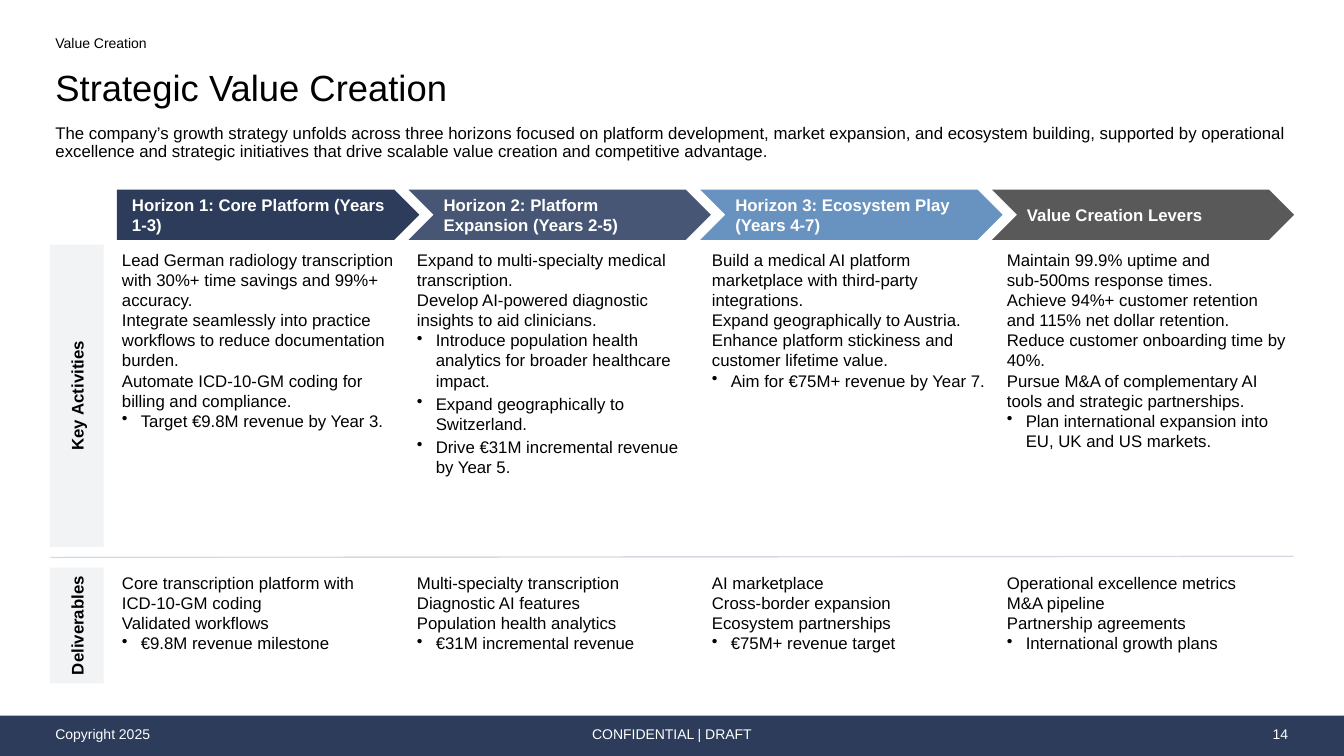
from lxml import etree
from pptx import Presentation
from pptx.dml.color import RGBColor
from pptx.enum.shapes import MSO_CONNECTOR, MSO_SHAPE
from pptx.enum.text import MSO_ANCHOR, MSO_AUTO_SIZE, PP_ALIGN
from pptx.oxml.ns import qn
from pptx.util import Pt

TOP, MIDDLE = MSO_ANCHOR.TOP, MSO_ANCHOR.MIDDLE
LEFT, CENTER, RIGHT = PP_ALIGN.LEFT, PP_ALIGN.CENTER, PP_ALIGN.RIGHT
RECTANGLE, PENTAGON, CHEVRON = MSO_SHAPE.RECTANGLE, MSO_SHAPE.PENTAGON, MSO_SHAPE.CHEVRON

NAVY, WHITE, BLACK, PALE_GREY, RULE_GREY = "2C3C5A", "FFFFFF", "000000", "F1F3F5", "D5DBE1"
COLUMN_LEFT = 83.5
HEADER_PITCH, TEXT_PITCH = 208.33, 210.7
BULLET_INDENT = 13.5
INSET = 3.6

COLUMNS = [
    {
        "header": "Horizon 1: Core Platform (Years 1-3)",
        "color": NAVY,
        "activities": [
            "Lead German radiology transcription with 30%+ time savings and 99%+ accuracy.",
            "Integrate seamlessly into practice workflows to reduce documentation burden.",
            "Automate ICD-10-GM coding for billing and compliance.",
        ],
        "activity_bullets": ["Target €9.8M revenue by Year 3."],
        "deliverables": ["Core transcription platform with ICD-10-GM coding", "Validated workflows"],
        "deliverable_bullets": ["€9.8M revenue milestone"],
    },
    {
        "header": "Horizon 2: Platform Expansion (Years 2-5)",
        "color": "465674",
        "activities": [
            "Expand to multi-specialty medical transcription.",
            "Develop AI-powered diagnostic insights to aid clinicians.",
        ],
        "activity_bullets": [
            "Introduce population health analytics for broader healthcare impact.",
            "Expand geographically to Switzerland.",
            "Drive €31M incremental revenue by Year 5.",
        ],
        "deliverables": [
            "Multi-specialty transcription",
            "Diagnostic AI features",
            "Population health analytics",
        ],
        "deliverable_bullets": ["€31M incremental revenue"],
    },
    {
        "header": "Horizon 3: Ecosystem Play (Years 4-7)",
        "color": "6893C1",
        "activities": [
            "Build a medical AI platform marketplace with third-party integrations.",
            "Expand geographically to Austria.",
            "Enhance platform stickiness and customer lifetime value.",
        ],
        "activity_bullets": ["Aim for €75M+ revenue by Year 7."],
        "deliverables": ["AI marketplace", "Cross-border expansion", "Ecosystem partnerships"],
        "deliverable_bullets": ["€75M+ revenue target"],
    },
    {
        "header": "Value Creation Levers",
        "color": "595959",
        "activities": [
            "Maintain 99.9% uptime and sub-500ms response times.",
            "Achieve 94%+ customer retention and 115% net dollar retention.",
            "Reduce customer onboarding time by 40%.",
            "Pursue M&A of complementary AI tools and strategic partnerships.",
        ],
        "activity_bullets": ["Plan international expansion into EU, UK and US markets."],
        "deliverables": ["Operational excellence metrics", "M&A pipeline", "Partnership agreements"],
        "deliverable_bullets": ["International growth plans"],
    },
]

ROWS = [
    ("Key Activities", 174.6, 216, "activities", "activity_bullets"),
    ("Deliverables", 405.4, 82.8, "deliverables", "deliverable_bullets"),
]


def rgb(color):
    return RGBColor.from_string(color)


def format_frame(frame, anchor, left=INSET, top=INSET, right=INSET, bottom=INSET):
    frame.word_wrap = True
    frame.auto_size = MSO_AUTO_SIZE.NONE
    frame.vertical_anchor = anchor
    frame.margin_left, frame.margin_top = Pt(left), Pt(top)
    frame.margin_right, frame.margin_bottom = Pt(right), Pt(bottom)


def format_paragraph(paragraph, size, color, bold=False, align=LEFT):
    paragraph.alignment = align
    font = paragraph.font
    font.name, font.size, font.bold = "Arial", Pt(size), bold
    font.color.rgb = rgb(color)


def add_bullet(paragraph):
    properties = paragraph._p.get_or_add_pPr()
    properties.set("marL", str(Pt(BULLET_INDENT)))
    properties.set("indent", str(-Pt(BULLET_INDENT)))
    paragraph.space_after = Pt(2)
    etree.SubElement(properties, qn("a:buChar")).set("char", "•")


def fill_placeholder(placeholder, text, box, size, anchor, top=INSET, bottom=INSET):
    placeholder.left, placeholder.top, placeholder.width, placeholder.height = map(Pt, box)
    format_frame(placeholder.text_frame, anchor, top=top, bottom=bottom)
    placeholder.text_frame.text = text
    paragraph = placeholder.text_frame.paragraphs[0]
    paragraph.line_spacing = 0.9
    paragraph.space_before = Pt(0)
    format_paragraph(paragraph, size, BLACK)


def add_block(slide, kind, box, fill, text="", color=WHITE, align=LEFT, left=INSET):
    shape = slide.shapes.add_shape(kind, *map(Pt, box))
    shape.shadow.inherit = False
    shape.fill.solid()
    shape.fill.fore_color.rgb = rgb(fill)
    shape.line.fill.background()
    if text:
        format_frame(shape.text_frame, MIDDLE, left=left)
        shape.text_frame.text = text
        format_paragraph(shape.text_frame.paragraphs[0], 12, color, True, align)
    return shape


def add_row_label(slide, text, top, height):
    width, center = 38.2, 54.9
    box = (center - height / 2, top + (height - width) / 2, height, width)
    label = add_block(slide, RECTANGLE, box, PALE_GREY, text, BLACK, CENTER)
    label.rotation = 270


def add_column_text(slide, box, plain, bullets):
    frame = slide.shapes.add_textbox(*map(Pt, box)).text_frame
    format_frame(frame, TOP)
    for index, text in enumerate(plain + bullets):
        paragraph = frame.paragraphs[0] if index == 0 else frame.add_paragraph()
        paragraph.text = text
        if index >= len(plain):
            add_bullet(paragraph)
        format_paragraph(paragraph, 12, BLACK)


def add_footer_text(slide, text, left, width, align):
    frame = slide.shapes.add_textbox(Pt(left), Pt(514.1), Pt(width), Pt(20.2)).text_frame
    format_frame(frame, MIDDLE)
    frame.text = text
    format_paragraph(frame.paragraphs[0], 10, WHITE, align=align)


def add_rule(slide, start, end):
    line = slide.shapes.add_connector(MSO_CONNECTOR.STRAIGHT, *map(Pt, start + end))
    line.line.color.rgb = rgb(RULE_GREY)
    line.line.width = Pt(1)
    etree.SubElement(line._element.spPr, qn("a:effectLst"))


def main():
    presentation = Presentation()
    presentation.slide_width, presentation.slide_height = Pt(960), Pt(540)
    slide = presentation.slides.add_slide(presentation.slide_layouts[4])
    placeholders = {shape.placeholder_format.idx: shape for shape in slide.placeholders}
    for index in (2, 4):
        element = placeholders[index]._element
        element.getparent().remove(element)

    fill_placeholder(placeholders[1], "Value Creation", (36, 22.3, 888, 20.9), 10, TOP)
    fill_placeholder(placeholders[0], "Strategic Value Creation", (36, 43.2, 888, 38.9), 26, MIDDLE, bottom=0)
    summary = (
        "The company’s growth strategy unfolds across three horizons focused on platform "
        "development, market expansion, and ecosystem building, supported by operational "
        "excellence and strategic initiatives that drive scalable value creation and "
        "competitive advantage."
    )
    fill_placeholder(placeholders[3], summary, (36, 82.1, 888, 49), 12, TOP, top=7.2)

    for index, column in enumerate(COLUMNS):
        kind, left = (CHEVRON, 7.2) if index else (PENTAGON, 10.8)
        box = (COLUMN_LEFT + index * HEADER_PITCH, 135.4, 216, 36)
        add_block(slide, kind, box, column["color"], column["header"], left=left)

    for label, top, height, plain, bullets in ROWS:
        add_row_label(slide, label, top, height)
        for index, column in enumerate(COLUMNS):
            box = (COLUMN_LEFT + index * TEXT_PITCH, top, 207.4, height)
            add_column_text(slide, box, column[plain], column[bullets])

    add_rule(slide, (36, 398.2), (923.8, 397.4))

    add_block(slide, RECTANGLE, (0, 511.2, 960, 28.8), NAVY)
    add_footer_text(slide, "Copyright 2025", 36, 285.8, LEFT)
    add_footer_text(slide, "CONFIDENTIAL | DRAFT", 318, 324, CENTER)
    add_footer_text(slide, "14", 707.8, 216, RIGHT)
    presentation.save("out.pptx")


if __name__ == "__main__":
    main()
